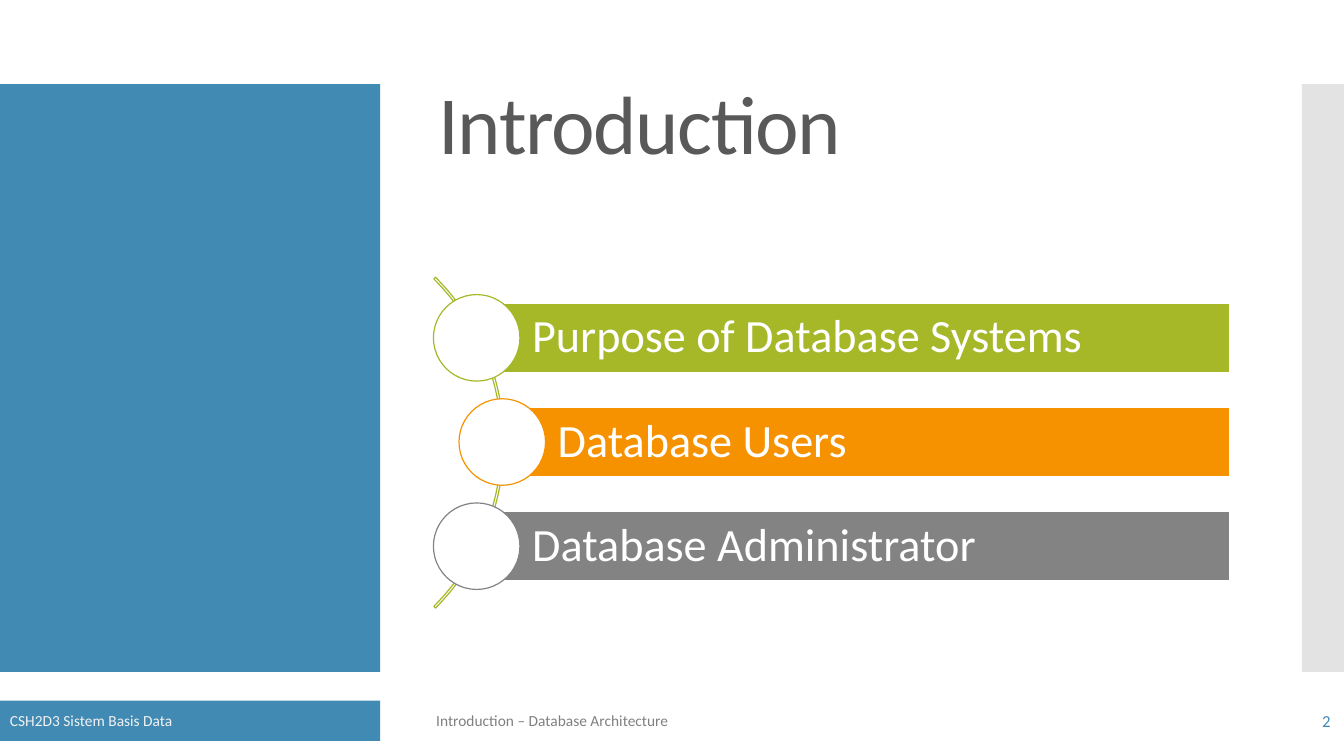
from lxml import etree
from pptx import Presentation
from pptx.dml.color import RGBColor
from pptx.enum.shapes import MSO_SHAPE
from pptx.enum.text import MSO_ANCHOR, MSO_AUTO_SIZE, PP_ALIGN
from pptx.oxml.ns import qn
from pptx.util import Inches, Pt

RECT, OVAL, ARC = MSO_SHAPE.RECTANGLE, MSO_SHAPE.OVAL, MSO_SHAPE.BLOCK_ARC
TOP, MID = MSO_ANCHOR.TOP, MSO_ANCHOR.MIDDLE
LEFT, RIGHT = PP_ALIGN.LEFT, PP_ALIGN.RIGHT
FIXED = MSO_AUTO_SIZE.NONE
COLS, ROWS = 32, 18
HUES = {
    "blue": "418AB3", "light": "C8C8C8", "gray": "808080", "dark": "595959",
    "green": "A6B727", "orange": "F69200", "steel": "838383",
    "white": "FFFFFF", "pale": "F2F2F2",
}


def hue(name):
    return RGBColor.from_string(HUES[name])


def write(frame, text, size=11, color="gray", align=LEFT, anchor=MID,
          inset=0.1, lead=None, track=None):
    frame.word_wrap = True
    frame.auto_size = FIXED
    frame.vertical_anchor = anchor
    frame.margin_left = Inches(inset)
    para = frame.paragraphs[0]
    para.alignment = align
    para.line_spacing = lead
    run = para.add_run()
    run.text = text
    run.font.name = "Calibri"
    run.font.size = Pt(size)
    run.font.color.rgb = hue(color)
    if track is not None:
        run._r.get_or_add_rPr().set("spc", str(track * 100))


class Deck:
    """Draws styled elements on a slide laid out in columns and rows."""

    def __init__(self):
        self.prs = Presentation()
        self.prs.slide_width = Inches(13.333)
        self.prs.slide_height = Inches(7.5)
        self.slide = self.prs.slides.add_slide(self.prs.slide_layouts[5])

    def box(self, x, y, w, h):
        wide = self.prs.slide_width / COLS
        high = self.prs.slide_height / ROWS
        return round(x * wide), round(y * high), round(w * wide), round(h * high)

    def title(self, text, *place, **style):
        head = self.slide.shapes.title
        head.left, head.top, head.width, head.height = self.box(*place)
        write(head.text_frame, text, **style)

    def shape(self, kind, *place, fill=None, line=None, alpha=None):
        item = self.slide.shapes.add_shape(kind, *self.box(*place))
        item.shadow.inherit = False
        if fill:
            item.fill.solid()
            item.fill.fore_color.rgb = hue(fill)
        else:
            item.fill.background()
        if line:
            item.line.color.rgb = hue(line)
            item.line.width = Pt(0.85)
        else:
            item.line.fill.background()
        if alpha:
            tint = item._element.spPr.find(".//" + qn("a:srgbClr"))
            etree.SubElement(tint, qn("a:alpha")).set("val", str(alpha * 1000))
        return item

    def text(self, text, *place, **style):
        item = self.slide.shapes.add_textbox(*self.box(*place))
        write(item.text_frame, text, **style)

    def arc(self, *place, line):
        item = self.shape(ARC, *place, line=line)
        for i, value in enumerate((189, 27, 0.005)):
            item.adjustments[i] = value

    def topic(self, text, x, y, color):
        end, high, dot = 29.28, 1.65, 2.06
        bar = self.shape(RECT, x, y, end - x, high, fill=color, line="white")
        write(bar.text_frame, text, size=33, color="white", inset=0.55, lead=0.9)
        self.shape(OVAL, x - dot / 2, y + (high - dot) / 2, dot, dot,
                   fill="white", line=color)


def main():
    deck = Deck()
    side, foot, deep = 9.05, 16.68, 0.96
    deck.shape(RECT, 0, 2, side, 14, fill="blue")
    deck.shape(RECT, 31, 2, 1, 14, fill="light", alpha=50)
    deck.text("Introduction – Database Architecture", 10.15, foot, 17.45, deep)
    deck.title("Introduction", 10.2, 1.85, 19.2, 8.54, size=59, color="dark",
               anchor=TOP, lead=0.9, track=-1)

    deck.arc(0.86, 4.97, 11.14, 11.14, line="green")
    topics = (
        ("Purpose of Database Systems", 11.35, "green"),
        ("Database Users", 11.96, "orange"),
        ("Database Administrator", 11.35, "steel"),
    )
    for i, (text, x, color) in enumerate(topics):
        deck.topic(text, x, 7.22 + 2.48 * i, color)

    course = deck.shape(RECT, 0, foot, side, deep, fill="blue")
    write(course.text_frame, "CSH2D3 Sistem Basis Data", color="pale")
    deck.text("2", 27.91, foot, 4.01, deep, size=12, color="blue", align=RIGHT)
    deck.prs.save("out.pptx")


if __name__ == "__main__":
    main()
